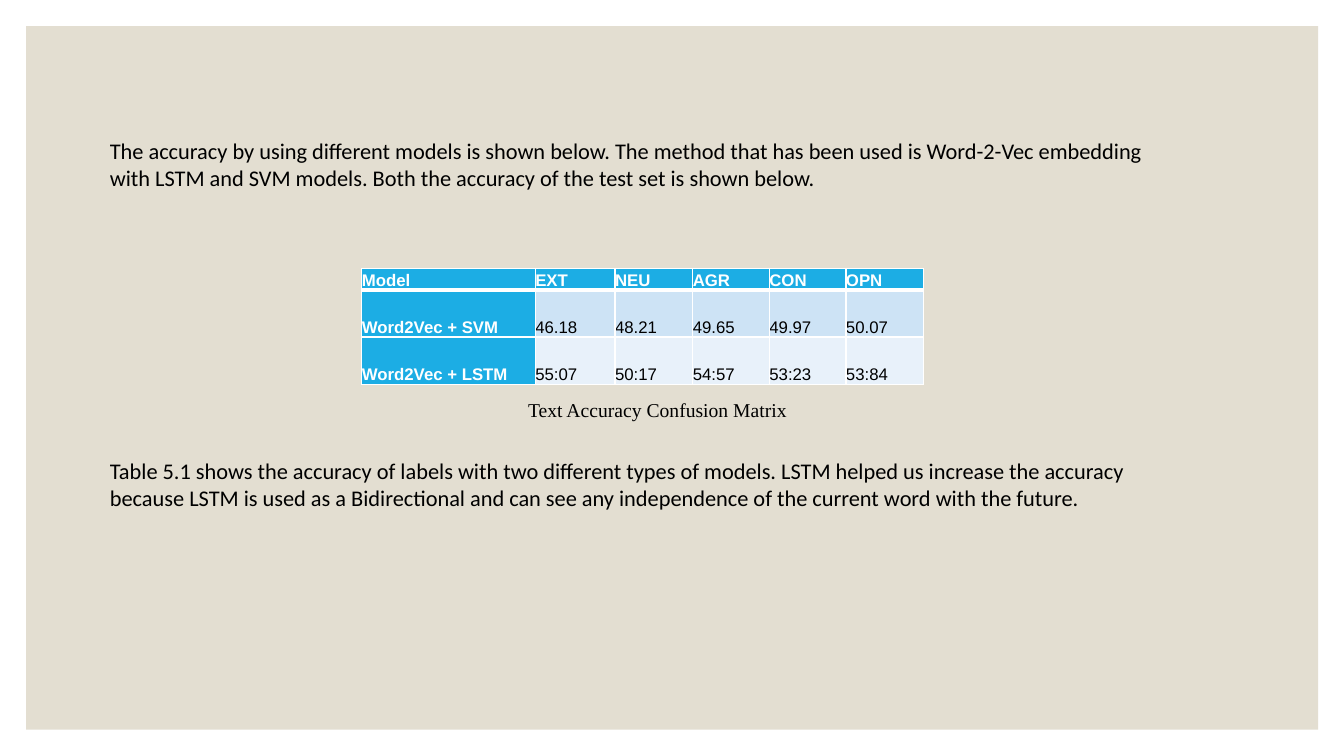
from lxml.etree import SubElement
from pptx import Presentation
from pptx.dml.color import RGBColor
from pptx.enum.shapes import MSO_SHAPE
from pptx.enum.text import MSO_ANCHOR, PP_ALIGN
from pptx.oxml.ns import qn
from pptx.util import Cm, Pt


def paint(fill, color):
    fill.solid()
    fill.fore_color.rgb = RGBColor.from_string(color)


def style(p, font, size, color, bold=False):
    f = p.runs[0].font
    f.name, f.size, f.bold = font, Pt(size), bold
    paint(f.fill, color)


prs = Presentation()
prs.slide_width, prs.slide_height = Cm(33.87), Cm(19.05)
s = prs.slides.add_slide(prs.slide_layouts[6])
paint(s.background.fill, "FFFFFF")

panel = s.shapes.add_shape(MSO_SHAPE.RECTANGLE, Cm(0.66), Cm(0.66), Cm(32.56), Cm(17.73))
panel.shadow.inherit = False
paint(panel.fill, "E3DED1")
panel.line.fill.background()

body = s.shapes.add_textbox(Cm(2.21), Cm(3.33), Cm(27.94), Cm(10.92))
tf = body.text_frame
tf.word_wrap = True
tf.margin_left = Cm(0.56)
tf.text = (
    "The accuracy by using different models is shown below. The method that has been used is "
    "Word-2-Vec embedding with LSTM and SVM models. Both the accuracy of the test set is shown below.\n"
    "Table 5.1 shows the accuracy of labels with two different types of models. LSTM helped us "
    "increase the accuracy because LSTM is used as a Bidirectional and can see any independence "
    "of the current word with the future."
)
for p in tf.paragraphs:
    style(p, "Calibri", 16, "000000")
tf.paragraphs[1].space_before = Pt(190)

rows = [
    ("Model", "EXT", "NEU", "AGR", "CON", "OPN"),
    ("Word2Vec + SVM", "46.18", "48.21", "49.65", "49.97", "50.07"),
    ("Word2Vec + LSTM", "55:07", "50:17", "54:57", "53:23", "53:84"),
]
col_widths = [4.37, 2.01, 1.96, 1.93, 1.93, 1.96]
row_heights = [0.52, 1.19, 1.19]
band_fills = ["1CADE4", "CDE3F5", "E8F1FA"]

frame = s.shapes.add_table(
    len(rows), len(col_widths), Cm(9.12), Cm(6.76), Cm(sum(col_widths)), Cm(sum(row_heights))
)
table = frame.table
for column, width in zip(table.columns, col_widths):
    column.width = Cm(width)
for i, values in enumerate(rows):
    table.rows[i].height = Cm(row_heights[i])
    for j, value in enumerate(values):
        cell = table.cell(i, j)
        header = i == 0 or j == 0
        cell.margin_left = cell.margin_right = cell.margin_top = cell.margin_bottom = 0
        cell.vertical_anchor = MSO_ANCHOR.BOTTOM
        cell.text = value
        p = cell.text_frame.paragraphs[0]
        p.alignment = PP_ALIGN.JUSTIFY
        p.line_spacing = 1.07
        style(p, "Arial", 12, "FFFFFF" if header else "000000", header)
        tcPr = cell._tc.get_or_add_tcPr()
        for side in "LRTB":
            thick = (i, side) in [(0, "B"), (1, "T")]
            ln = SubElement(tcPr, qn(f"a:ln{side}"), w=str(Pt(3 if thick else 1)))
            SubElement(SubElement(ln, qn("a:solidFill")), qn("a:srgbClr"), val="FFFFFF")
        paint(cell.fill, band_fills[0] if header else band_fills[i])

caption = s.shapes.add_textbox(Cm(13.06), Cm(9.91), Cm(7.16), Cm(0.86))
caption.text_frame.text = "Text Accuracy Confusion Matrix"
p = caption.text_frame.paragraphs[0]
p.alignment = PP_ALIGN.JUSTIFY
style(p, "Times New Roman", 14, "000000")

prs.save("out.pptx")
